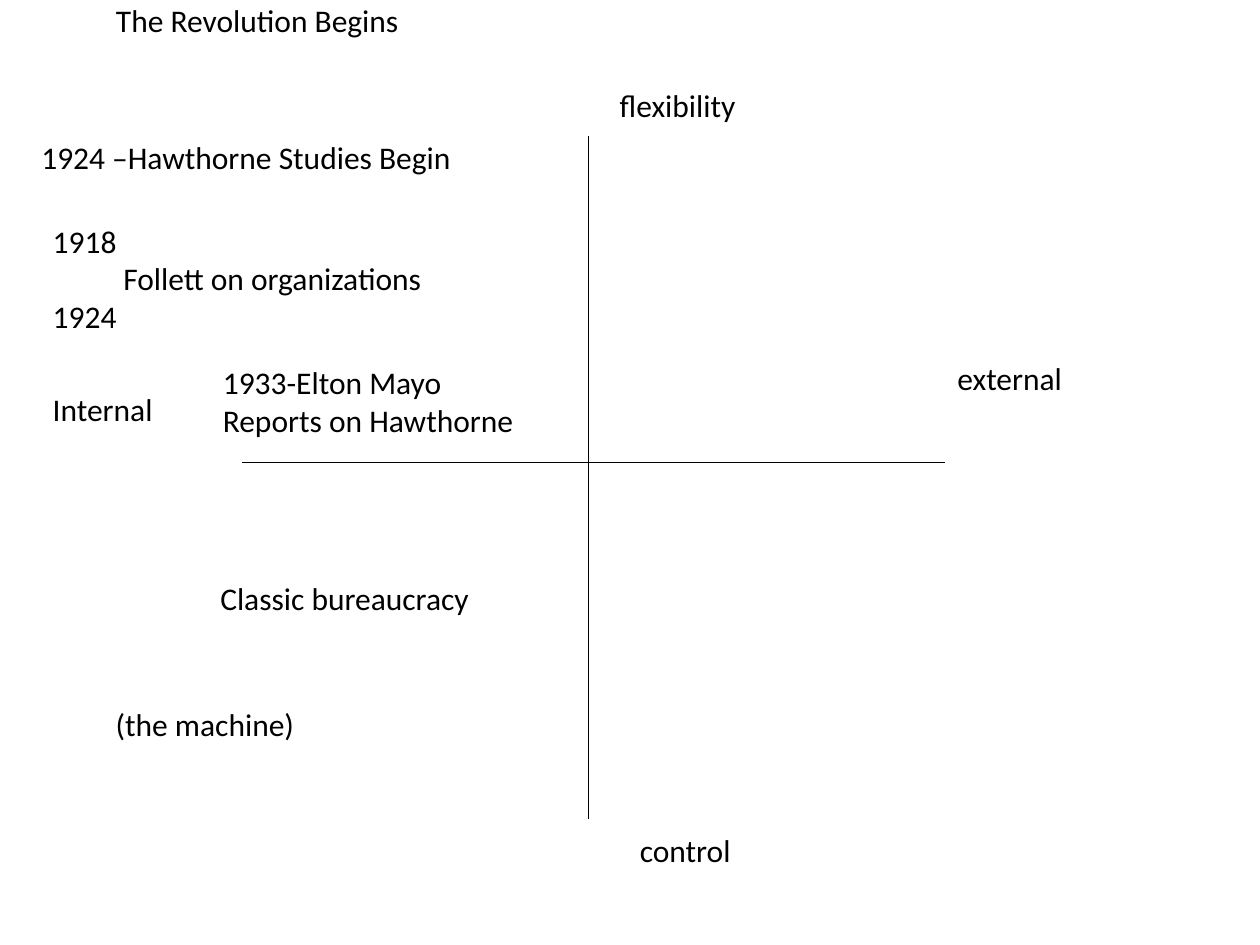
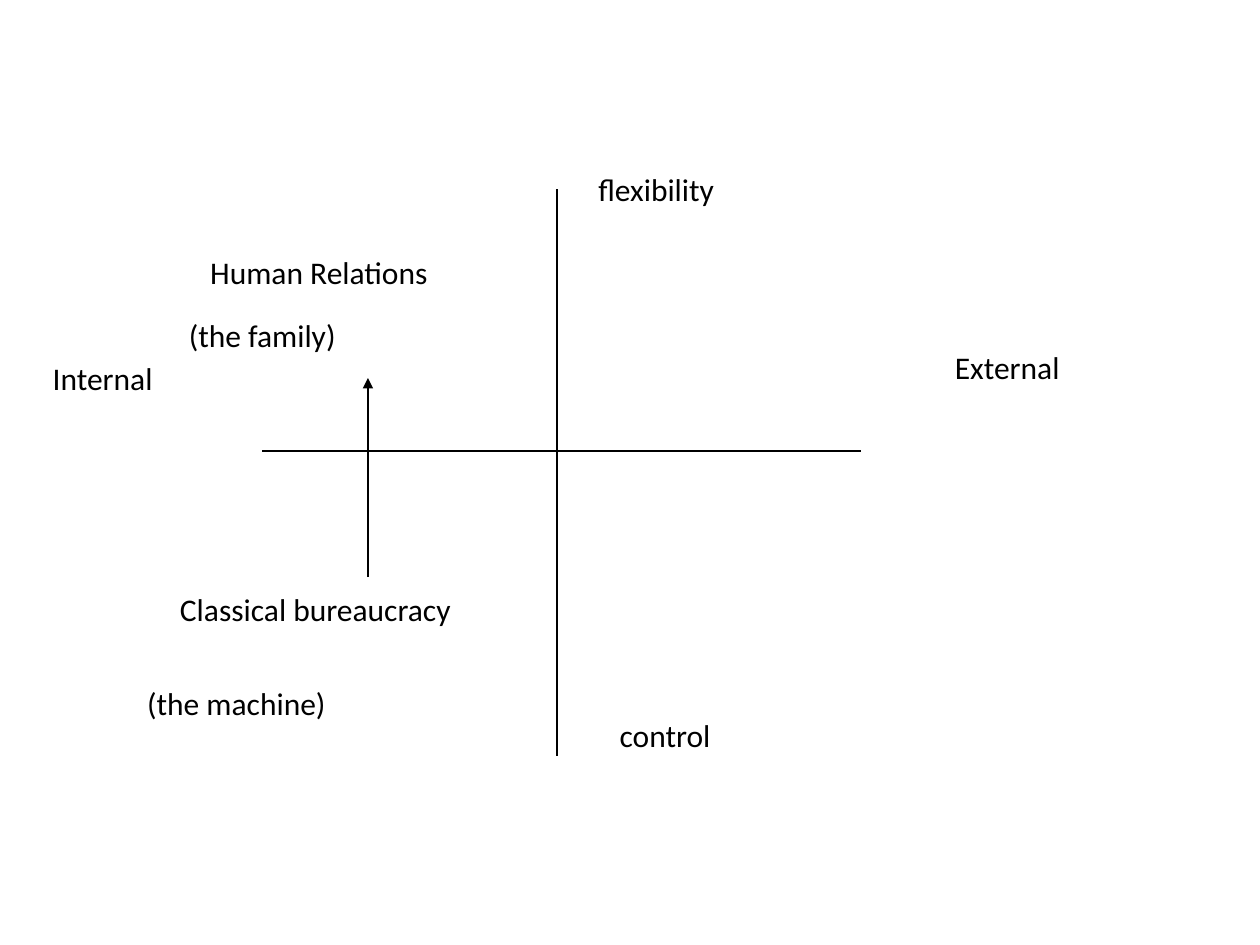
from dataclasses import dataclass
from lxml import etree
from pptx import Presentation
from pptx.dml.color import RGBColor
from pptx.enum import shapes, text
from pptx.oxml.ns import qn
from pptx.util import Inches, Pt


@dataclass
class Theme:
    font: str = "Calibri"
    size: int = 18
    ink: RGBColor = RGBColor(0, 0, 0)
    rule: float = 0.75
    indent: float = 0.56


theme = Theme()


def write(box, lines):
    frame = box.text_frame
    frame.word_wrap = True
    frame.auto_size = text.MSO_AUTO_SIZE.NONE
    frame.vertical_anchor = text.MSO_ANCHOR.TOP
    frame.text = lines
    for para in frame.paragraphs:
        para.alignment = text.PP_ALIGN.LEFT
        para.font.name = theme.font
        para.font.size = Pt(theme.size)
        para.font.color.rgb = theme.ink
    return frame


def draw(slide, *ends):
    line = slide.shapes.add_connector(
        shapes.MSO_CONNECTOR.STRAIGHT, *map(Inches, ends))
    line.line.color.rgb = theme.ink
    line.line.width = Pt(theme.rule)
    etree.SubElement(line._element.spPr, qn("a:effectLst"))
    return line


deck = Presentation()
deck.slide_width, deck.slide_height = Inches(10), Inches(7.5)
only, blank = deck.slide_layouts[5], deck.slide_layouts[6]

start = deck.slides.add_slide(only)
title = start.shapes.title
title.left, title.top = Inches(0.82), Inches(-0.04)
title.width, title.height = Inches(3.29), Inches(0.5)
write(title, "The Revolution Begins")

shift = deck.slides.add_slide(blank)

axes = [
    (start, 4.67, 1.08, 6.5, 3.67, 1.92, 7.5),
    (shift, 4.42, 1.5, 6, 3.58, 2.08, 6.83),
]
for slide, mid, top, base, level, left, right in axes:
    draw(slide, mid, top, mid, base)
    draw(slide, left, level, right, level)

arrow = draw(shift, 2.92, 4.58, 2.92, 3)
etree.SubElement(arrow.line._get_or_add_ln(), qn("a:tailEnd"), type="triangle")

labels = [
    (start, [
        (4.82, 0.63, 1.51, 0.5, "flexibility"),
        (4.98, 6.55, 1.14, 0.5, "control"),
        (0.32, 3.05, 1.24, 0.5, "Internal"),
        (7.5, 2.8, 1.59, 0.5, "external"),
        (1.65, 4.55, 2.87, 0.5, "Classic bureaucracy"),
        (0.82, 5.55, 2.04, 0.5, "(the machine)"),
        (0.23, 1.05, 4.54, 0.5, "1924 –Hawthorne Studies Begin"),
        (0.32, 1.71, 4.28, 1.7, "1918\nFollett on organizations\n1924"),
        (1.67, 2.83, 3.45, 0.71, "1933-Elton Mayo\nReports on Hawthorne"),
    ]),
    (shift, [
        (4.65, 1.3, 1.51, 0.5, "flexibility"),
        (4.82, 5.63, 1.14, 0.5, "control"),
        (0.32, 2.8, 1.24, 0.5, "Internal"),
        (7.48, 2.71, 1.33, 0.5, "External"),
        (1.33, 4.63, 3.35, 0.5, "Classical bureaucracy"),
        (1.07, 5.38, 2.04, 0.5, "(the machine)"),
        (1.57, 1.96, 2.61, 0.5, "Human Relations"),
        (1.4, 2.46, 1.78, 0.5, "(the family)"),
    ]),
]
for slide, items in labels:
    for *place, words in items:
        frame = write(slide.shapes.add_textbox(*map(Inches, place)), words)
        for para in frame.paragraphs:
            if para.text.startswith("Follett"):
                para._p.get_or_add_pPr().set("marL", str(Inches(theme.indent)))

deck.save("out.pptx")
